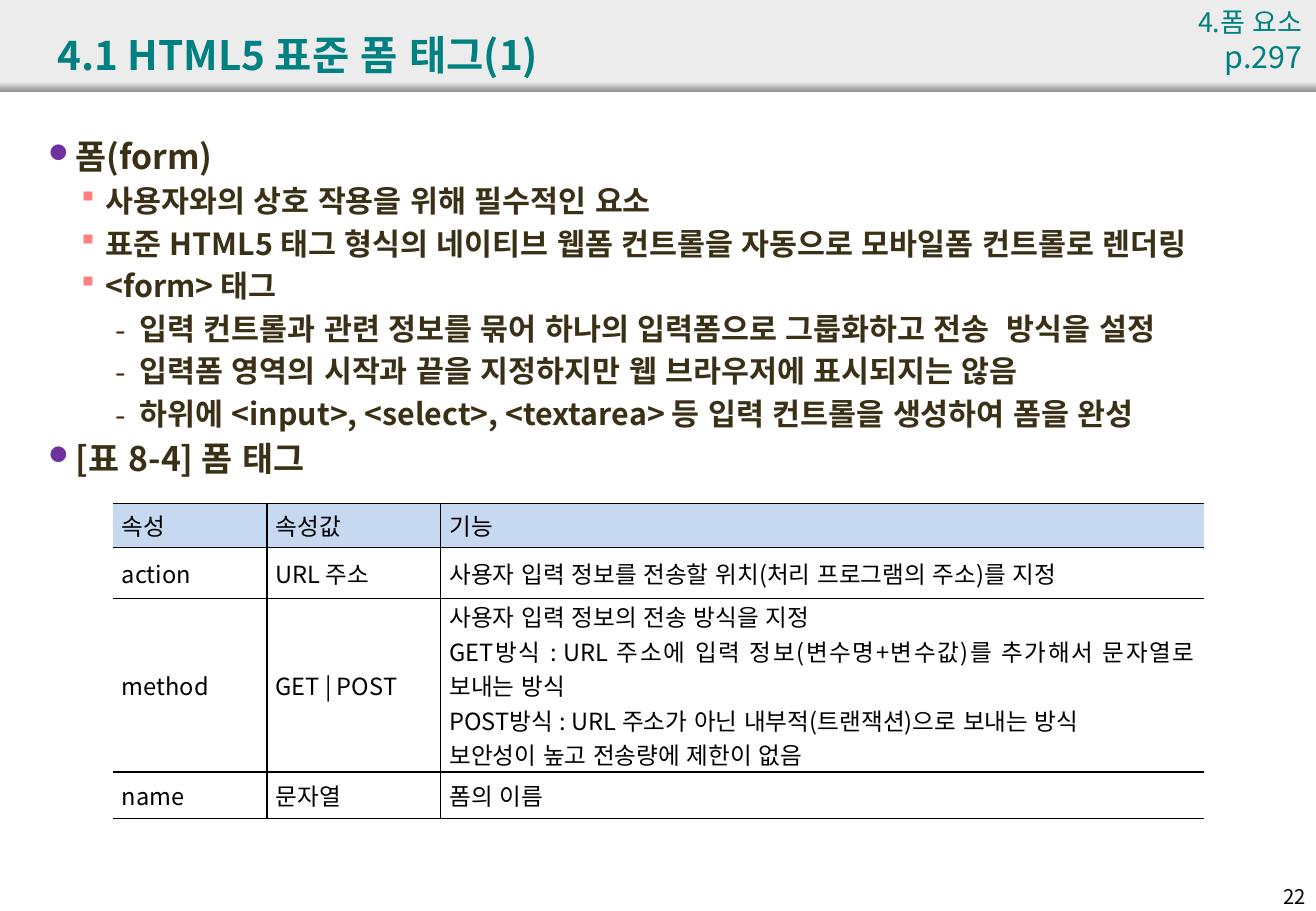
from pptx import Presentation
from pptx.util import Pt
from pptx.dml.color import RGBColor as RGB
from pptx.enum.lang import MSO_LANGUAGE_ID as Lang
from pptx.enum.shapes import MSO_SHAPE as Shape
from pptx.enum.text import PP_ALIGN as Align, MSO_ANCHOR as Anchor
from pptx.oxml import parse_xml
from pptx.oxml.ns import nsdecls

FONT = "Noto Sans CJK KR"
COLOR = {
    "bar": "ECECEC", "edge": "979797", "teal": "008080", "body": "3A3016",
    "black": "000000", "head": "C6D9F1",
    "dot": "7030A0", "square": "FF8080", "dash": "3D2505",
}
TITLE = "4.1 HTML5 표준 폼 태그(1)"
CORNER = [("4.폼 요소", 16), ("p.297", 18)]
PAGE = "22"
LEVELS = [
    {"left": 14.4, "size": 20, "mark": "l", "font": "Wingdings", "color": "dot", "scale": 80},
    {"left": 33.84, "size": 18, "mark": "§", "font": "Wingdings", "color": "square", "scale": 100},
    {"left": 54, "size": 18, "mark": "-", "font": FONT, "color": "dash", "scale": 100},
]
HANG = 14.4
POINTS = [
    (0, "폼(form)"),
    (1, "사용자와의 상호 작용을 위해 필수적인 요소"),
    (1, "표준 HTML5 태그 형식의 네이티브 웹폼 컨트롤을 자동으로 모바일폼 컨트롤로 렌더링"),
    (1, "<form> 태그"),
    (2, "입력 컨트롤과 관련 정보를 묶어 하나의 입력폼으로 그룹화하고 전송  방식을 설정"),
    (2, "입력폼 영역의 시작과 끝을 지정하지만 웹 브라우저에 표시되지는 않음"),
    (2, "하위에 <input>, <select>, <textarea> 등 입력 컨트롤을 생성하여 폼을 완성"),
    (0, "[표 8-4] 폼 태그"),
]
ROWS = [
    ("속성", "속성값", "기능"),
    ("action", "URL 주소", "사용자 입력 정보를 전송할 위치(처리 프로그램의 주소)를 지정"),
    ("method", "GET | POST",
     "사용자 입력 정보의 전송 방식을 지정\n"
     "GET방식 : URL 주소에 입력 정보(변수명+변수값)를 추가해서 문자열로 보내는 방식\n"
     "POST방식 : URL 주소가 아닌 내부적(트랜잭션)으로 보내는 방식\n"
     "보안성이 높고 전송량에 제한이 없음"),
    ("name", "문자열", "폼의 이름"),
]
WIDTHS = [91.2, 103, 452.2]
HEIGHTS = [26, 30.5, 102.7, 27.7]


def rgb(name):
    return RGB.from_string(COLOR[name])


def style(run, size, color, bold=False):
    font = run.font
    font.size, font.bold, font.name = Pt(size), bold, FONT
    font.language_id = Lang.KOREAN
    font.color.rgb = rgb(color)
    run._r.get_or_add_rPr().append(
        parse_xml(f'<a:ea {nsdecls("a")} typeface="{FONT}"/>'))


def bar(slide, top, height):
    shape = slide.shapes.add_shape(Shape.RECTANGLE, 0, Pt(top), Pt(780), Pt(height))
    shape.shadow.inherit = False
    shape.line.fill.background()
    return shape.fill


def box(slide, left, top, width, height, wrap=True):
    shape = slide.shapes.add_textbox(Pt(left), Pt(top), Pt(width), Pt(height))
    shape.text_frame.word_wrap = wrap
    return shape.text_frame


def bullet(para, level):
    kind = LEVELS[level]
    para.level = level
    para.space_before = Pt(kind["size"] * 0.2)
    props = para._p.get_or_add_pPr()
    props.set("marL", str(Pt(kind["left"])))
    props.set("indent", str(-Pt(HANG)))
    for xml in (
        f'<a:buClr {nsdecls("a")}><a:srgbClr val="{COLOR[kind["color"]]}"/></a:buClr>',
        f'<a:buSzPct {nsdecls("a")} val="{kind["scale"] * 1000}"/>',
        f'<a:buFont {nsdecls("a")} typeface="{kind["font"]}"/>',
        f'<a:buChar {nsdecls("a")} char="{kind["mark"]}"/>',
    ):
        props.append(parse_xml(xml))


def borders(cell, col):
    shown = {"L": col > 0, "R": col < len(WIDTHS) - 1, "T": True, "B": True}
    for side, show in shown.items():
        fill = (f'<a:solidFill><a:srgbClr val="{COLOR["black"]}"/></a:solidFill>'
                if show else "<a:noFill/>")
        cell._tc.get_or_add_tcPr().append(parse_xml(
            f'<a:ln{side} {nsdecls("a")} w="{Pt(1)}">{fill}</a:ln{side}>'))


def grid(slide):
    frame = slide.shapes.add_table(len(ROWS), len(WIDTHS), Pt(67), Pt(298.4),
                                   Pt(sum(WIDTHS)), Pt(sum(HEIGHTS)))
    table = frame.table
    table.first_row = table.horz_banding = False
    for col, width in enumerate(WIDTHS):
        table.columns[col].width = Pt(width)
    for row, texts in enumerate(ROWS):
        table.rows[row].height = Pt(HEIGHTS[row])
        for col, text in enumerate(texts):
            cell = table.cell(row, col)
            cell.text_frame.text = text
            cell.vertical_anchor = Anchor.MIDDLE
            cell.margin_left = cell.margin_right = Pt(5.2)
            cell.margin_top = cell.margin_bottom = 0
            borders(cell, col)
            if row:
                cell.fill.background()
            else:
                cell.fill.solid()
                cell.fill.fore_color.rgb = rgb("head")
            for para in cell.text_frame.paragraphs:
                para.alignment = Align.JUSTIFY
                style(para.runs[0], 14, "black")


def main():
    deck = Presentation()
    deck.slide_width, deck.slide_height = Pt(780), Pt(540)
    slide = deck.slides.add_slide(deck.slide_layouts[5])

    fill = bar(slide, 0, 54)
    fill.solid()
    fill.fore_color.rgb = rgb("bar")
    fade = bar(slide, 48.5, 5.5)
    fade.gradient()
    fade.gradient_angle = 270
    for stop, name, place in zip(fade.gradient_stops, ("bar", "edge"), (0, 1)):
        stop.color.rgb = rgb(name)
        stop.position = place

    title = slide.shapes.title
    title.left, title.top, title.width, title.height = Pt(27), Pt(9.4), Pt(714), Pt(45)
    title.text_frame.text = TITLE
    title.text_frame.vertical_anchor = Anchor.MIDDLE
    para = title.text_frame.paragraphs[0]
    para.alignment = Align.LEFT
    style(para.runs[0], 24, "teal", True)
    slide.shapes._spTree.append(title._element)

    body = box(slide, 21.6, 77, 743, 448)
    body.text = "\n".join(text for _, text in POINTS)
    for para, (level, _) in zip(body.paragraphs, POINTS):
        bullet(para, level)
        style(para.runs[0], LEVELS[level]["size"], "body", True)

    grid(slide)

    para = box(slide, 692, 0, 87, 29, False).paragraphs[0]
    para.text = "\v".join(text for text, _ in CORNER)
    para.alignment = Align.RIGHT
    for run, (_, size) in zip(para.runs, CORNER):
        style(run, size, "teal")

    para = box(slide, 741.6, 520.5, 39.4, 21.6).paragraphs[0]
    para.text = PAGE
    para.alignment = Align.RIGHT
    style(para.runs[0], 12, "black")

    deck.save("out.pptx")


if __name__ == "__main__":
    main()
